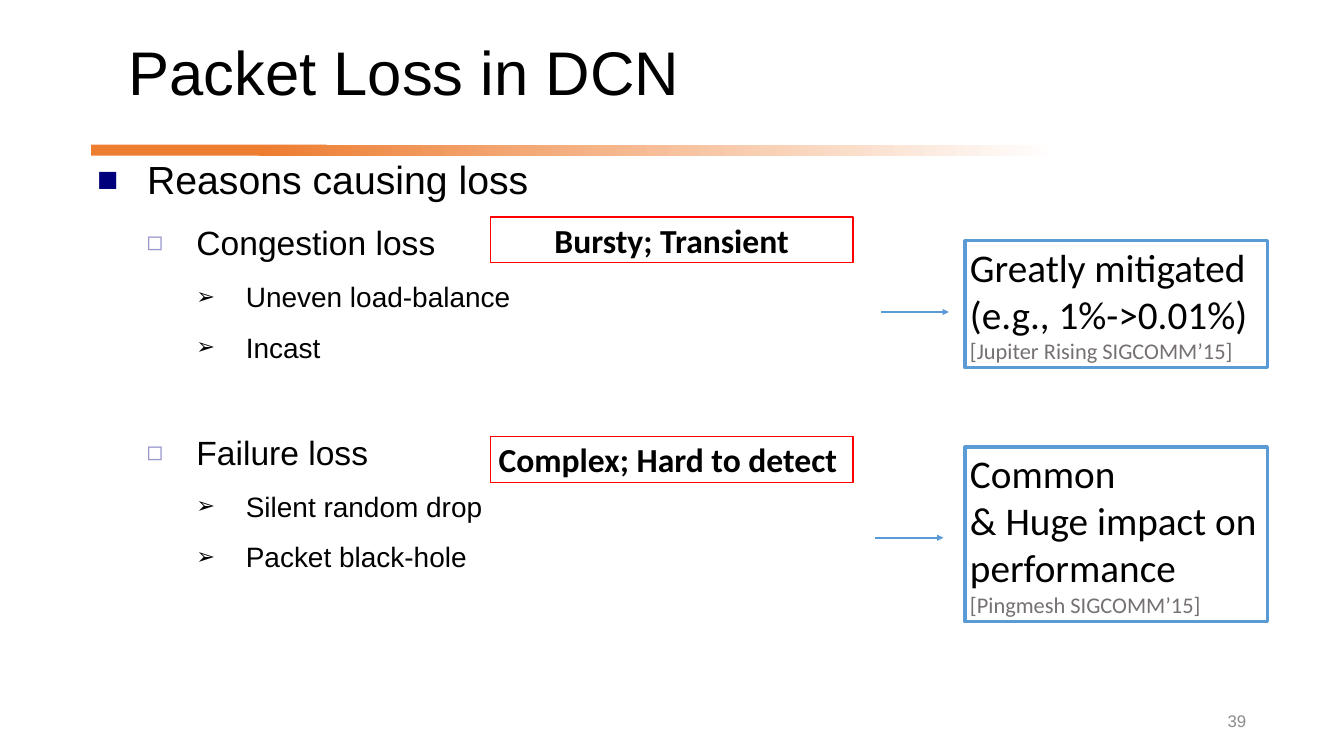
from pptx import Presentation
from pptx.dml.color import RGBColor
from pptx.enum.shapes import MSO_CONNECTOR, MSO_SHAPE
from pptx.enum.text import MSO_ANCHOR, PP_ALIGN
from pptx.oxml.ns import qn
from pptx.util import Pt
from lxml.etree import SubElement

PX = 9144
BLACK, ORANGE, WHITE = "000000", "ED7D31", "FFFFFF"
RED, BLUE, GREY, PAGE_GREY = "FF0000", "5B9BD5", "767171", "8C8C8C"

LEVELS = [
    dict(size=56, bullet="■", bullet_color="00007D", bullet_size=90, left=99, hang=99, spacing=0.9),
    dict(size=48, bullet="◻", bullet_color="9999CC", bullet_size=80, left=197, hang=99, spacing=1.3),
    dict(size=40, bullet="➢", bullet_color=BLACK, bullet_size=80, left=295, hang=98, spacing=1.3),
]

REASONS = [
    (0, "Reasons causing loss", 0),
    (1, "Congestion loss", 10),
    (2, "Uneven load-balance", 10),
    (2, "Incast", 10),
    (1, "Failure loss", 80),
    (2, "Silent random drop", 10),
    (2, "Packet black-hole", 10),
]

TRAITS = [
    (430, "Bursty; Transient"),
    (866, "Complex; Hard to detect "),
]

IMPACTS = [
    (478, 252, ["Greatly mitigated", "(e.g., 1%->0.01%)"], "[Jupiter Rising SIGCOMM’15]"),
    (887, 347, ["Common", "& Huge impact on performance"], "[Pingmesh SIGCOMM’15]"),
]

ARROWS = [(1748, 619), (1737, 1067)]


def rgb(color):
    return RGBColor.from_string(color)


def emu(*lengths):
    return [length * PX for length in lengths]


def style(paragraph, size, font="Arial", color=BLACK, bold=False):
    paragraph.font.size = Pt(size)
    paragraph.font.name = font
    paragraph.font.color.rgb = rgb(color)
    paragraph.font.bold = bold


def add_rect(slide, box):
    rect = slide.shapes.add_shape(MSO_SHAPE.RECTANGLE, *emu(*box))
    rect.shadow.inherit = False
    return rect


def add_frame(slide, box, color, width):
    frame = add_rect(slide, box)
    frame.fill.background()
    frame.line.color.rgb = rgb(color)
    frame.line.width = Pt(width)
    frame.text_frame.word_wrap = True
    return frame.text_frame


def add_label(slide, box, text, size, color=BLACK, align=PP_ALIGN.LEFT):
    label = slide.shapes.add_textbox(*emu(*box)).text_frame
    label.word_wrap = True
    label.vertical_anchor = MSO_ANCHOR.MIDDLE
    label.text = text
    label.paragraphs[0].alignment = align
    style(label.paragraphs[0], size, color=color)
    return label


def add_divider(slide, left, top, width, height):
    fade_offset, solid_width = 333, 467
    solid = add_rect(slide, (left, top, solid_width, height))
    solid.fill.solid()
    solid.fill.fore_color.rgb = rgb(ORANGE)
    solid.line.fill.background()
    fade = add_rect(slide, (left + fade_offset, top, width - fade_offset, height))
    fade.fill.gradient()
    fade.fill.gradient_angle = 0
    for stop, color in zip(fade.fill.gradient_stops, (ORANGE, WHITE)):
        stop.color.rgb = rgb(color)
    fade.line.fill.background()


def add_bullet(paragraph, level):
    properties = paragraph._p.get_or_add_pPr()
    left, hang = emu(level["left"], level["hang"])
    properties.set("marL", str(left))
    properties.set("indent", str(-hang))
    bullet_color = SubElement(properties, qn("a:buClr"))
    SubElement(bullet_color, qn("a:srgbClr"), val=level["bullet_color"])
    SubElement(properties, qn("a:buSzPct"), val=str(level["bullet_size"] * 1000))
    SubElement(properties, qn("a:buFont"), typeface="Arial")
    SubElement(properties, qn("a:buChar"), char=level["bullet"])


def add_reasons(slide, box):
    outline = slide.shapes.add_textbox(*emu(*box)).text_frame
    outline.word_wrap = True
    outline.text = "\n".join(text for _, text, _ in REASONS)
    for paragraph, (depth, _, gap) in zip(outline.paragraphs, REASONS):
        level = LEVELS[depth]
        add_bullet(paragraph, level)
        paragraph.level = depth
        paragraph.line_spacing = level["spacing"]
        paragraph.space_before = Pt(gap)
        style(paragraph, level["size"])


def add_trait(slide, box, text):
    trait = add_frame(slide, box, RED, 2.25)
    trait.text = text
    trait.paragraphs[0].alignment = PP_ALIGN.CENTER
    style(trait.paragraphs[0], 48, "Calibri", bold=True)


def add_impact(slide, box, findings, citation):
    impact = add_frame(slide, box, BLUE, 4.5)
    impact.vertical_anchor = MSO_ANCHOR.TOP
    impact.text = "\n".join(findings + [citation])
    for paragraph in impact.paragraphs:
        paragraph.alignment = PP_ALIGN.LEFT
        style(paragraph, 56, "Calibri")
    style(impact.paragraphs[-1], 32, "Calibri", GREY)


def add_arrow(slide, left, top, length):
    arrow = slide.shapes.add_connector(
        MSO_CONNECTOR.STRAIGHT, *emu(left, top, left + length, top))
    arrow.line.color.rgb = rgb(BLUE)
    arrow.line.width = Pt(3)
    SubElement(arrow.line._get_or_add_ln(), qn("a:tailEnd"), type="triangle")
    SubElement(arrow._element.spPr, qn("a:effectLst"))


def main():
    presentation = Presentation()
    presentation.slide_width, presentation.slide_height = emu(2667, 1500)
    slide = presentation.slides.add_slide(presentation.slide_layouts[6])
    add_divider(slide, 181, 287, 1916, 22)
    title = add_label(slide, (245, 35, 2228, 230), "Packet Loss in DCN", 88)
    title.paragraphs[0].line_spacing = 0.9
    add_reasons(slide, (183, 314, 2300, 1006))
    for top, text in TRAITS:
        add_trait(slide, (973, top, 720, 91), text)
    for top, height, findings, citation in IMPACTS:
        add_impact(slide, (1915, top, 600, height), findings, citation)
    for left, top in ARROWS:
        add_arrow(slide, left, top, 135)
    add_label(slide, (1883, 1390, 600, 80), "39", 24, PAGE_GREY, PP_ALIGN.RIGHT)
    presentation.save("out.pptx")


if __name__ == "__main__":
    main()
